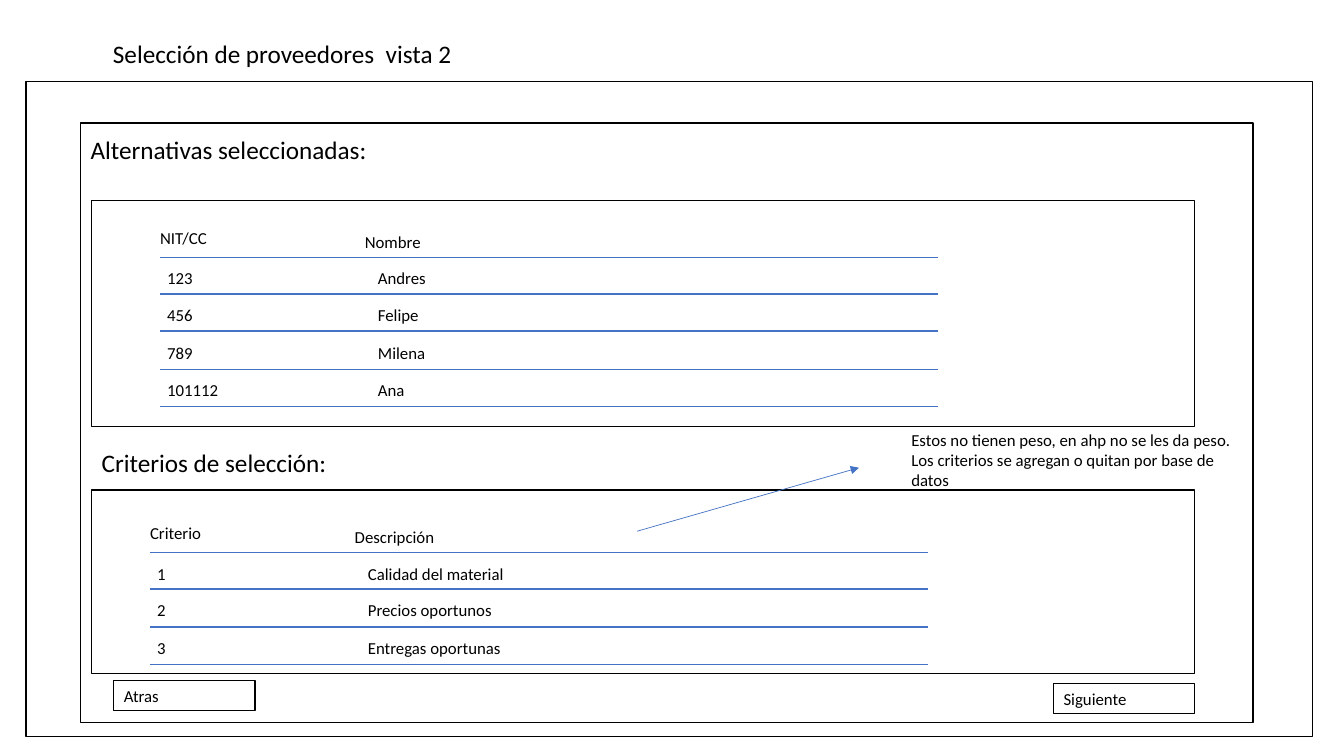
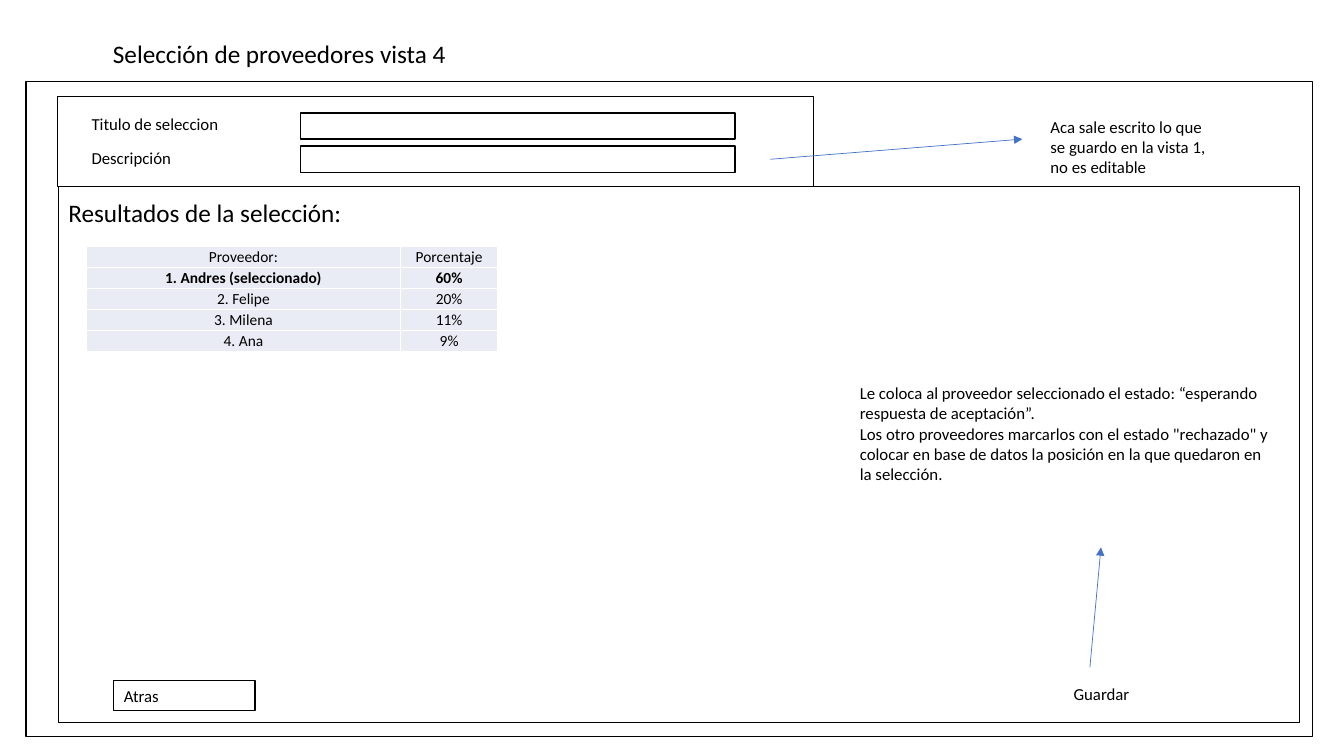
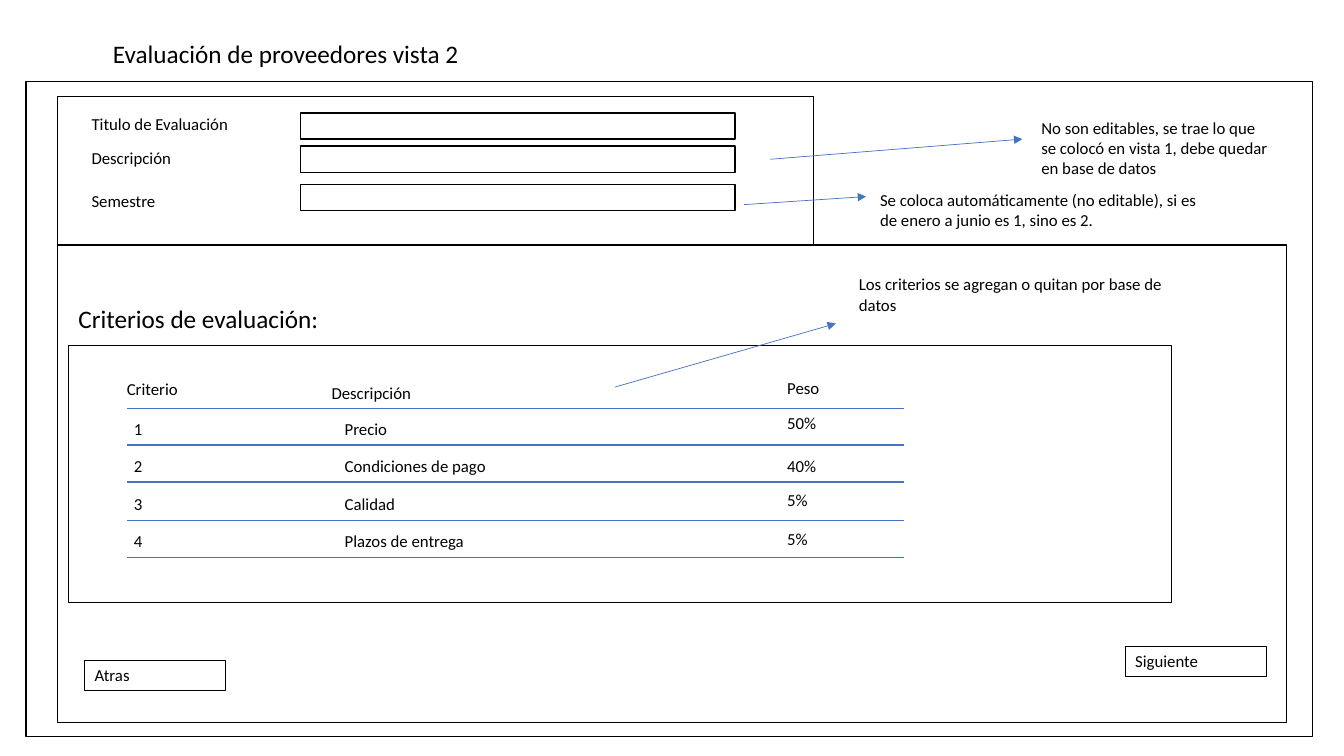
import pptx
import pptx.dml.color
import pptx.enum.shapes
import pptx.enum.text
import pptx.oxml
import pptx.oxml.ns
import pptx.util

Inches = pptx.util.Inches
Pt = pptx.util.Pt

COLORS = {"text": "000000", "frame": "000000", "rule": "4472C4",
          "cell": "E9EBF5", "border": "FFFFFF"}
FONT = "Calibri"
HEADING_SIZE, BODY_SIZE, CELL_SIZE = 18, 12, 11
LABEL_HEIGHT = 0.3
ROW_TOPS = (0.06, 0.42, 0.80, 1.17)
NAMESPACE = pptx.oxml.ns.nsdecls("a")


def color(name):
    return pptx.dml.color.RGBColor.from_string(COLORS[name])


class Wireframe:
    """Holds the presentation, the shared style and the current slide."""

    def __init__(self):
        self.presentation = pptx.Presentation()
        self.presentation.slide_width = Inches(13.33)
        self.presentation.slide_height = Inches(7.5)
        self.slide = None

    def add_slide(self, title):
        """Start a slide with its title and the outer window frame."""
        layout = self.presentation.slide_layouts[5]
        self.slide = self.presentation.slides.add_slide(layout)
        shape = self.slide.shapes.title
        shape.left, shape.top = Inches(1.02), Inches(0.33)
        shape.width, shape.height = Inches(5.1), Inches(0.4)
        self.fill_text(shape.text_frame, [title], HEADING_SIZE)
        self.frame(0.26, 0.81, 12.76, 6.5)

    def fill_text(self, text_frame, lines, size, bold=False, align="LEFT"):
        text_frame.word_wrap = True
        text_frame.auto_size = pptx.enum.text.MSO_AUTO_SIZE.NONE
        text_frame.vertical_anchor = pptx.enum.text.MSO_ANCHOR.TOP
        for index, line in enumerate(lines):
            paragraph = text_frame.add_paragraph() if index else text_frame.paragraphs[0]
            paragraph.alignment = getattr(pptx.enum.text.PP_ALIGN, align)
            run = paragraph.add_run()
            run.text = line
            run.font.name = FONT
            run.font.size = Pt(size)
            run.font.bold = bold
            run.font.color.rgb = color("text")

    def text(self, left, top, width, height, *lines, size=BODY_SIZE):
        box = self.slide.shapes.add_textbox(
            Inches(left), Inches(top), Inches(width), Inches(height))
        self.fill_text(box.text_frame, lines, size)

    def label(self, left, top, text, width=1.4):
        self.text(left, top, width, LABEL_HEIGHT, text)

    def heading(self, left, top, text):
        self.text(left, top, 4.12, 0.4, text, size=HEADING_SIZE)

    def frame(self, left, top, width, height, line_width=1):
        shape = self.slide.shapes.add_shape(
            pptx.enum.shapes.MSO_SHAPE.RECTANGLE,
            Inches(left), Inches(top), Inches(width), Inches(height))
        shape.shadow.inherit = False
        shape.fill.background()
        shape.line.color.rgb = color("frame")
        shape.line.width = Pt(line_width)
        return shape

    def button(self, left, top, text):
        shape = self.frame(left, top, 1.4, LABEL_HEIGHT, line_width=0.75)
        self.fill_text(shape.text_frame, [text], BODY_SIZE)

    def line(self, start, end, arrow=False):
        connector = self.slide.shapes.add_connector(
            pptx.enum.shapes.MSO_CONNECTOR.STRAIGHT,
            Inches(start[0]), Inches(start[1]), Inches(end[0]), Inches(end[1]))
        connector.line.color.rgb = color("rule")
        connector.line.width = Pt(0.5)
        properties = connector._element.spPr
        if arrow:
            outline = properties.find(pptx.oxml.ns.qn("a:ln"))
            outline.append(pptx.oxml.parse_xml(f'<a:tailEnd {NAMESPACE} type="triangle"/>'))
        properties.append(pptx.oxml.parse_xml(f"<a:effectLst {NAMESPACE}/>"))

    def form(self, height, fields):
        """Framed form; each field is (label, label top, input top)."""
        self.frame(0.57, 0.96, 7.5, height)
        for text, label_top, input_top in fields:
            self.label(0.81, label_top, text, width=1.86)
            self.frame(2.98, input_top, 4.31, 0.26)

    def ruled_list(self, left, top, headers, rows):
        """Two-column list; left and top are the start of its first rule."""
        self.label(left - 0.1, top - 0.34, headers[0])
        self.label(left + 1.93, top - 0.3, headers[1])
        for offset, (key, value) in zip(ROW_TOPS, rows):
            row_top = top + offset
            self.label(left - 0.03, row_top, key)
            self.label(left + 2.06, row_top, value, width=2.12)
            for rule_top in (row_top - 0.06, row_top + 0.31):
                self.line((left, rule_top), (left + 7.71, rule_top))

    def table(self, left, top, widths, row_height, rows, bold_row):
        table = self.slide.shapes.add_table(
            len(rows), len(widths), Inches(left), Inches(top),
            Inches(sum(widths)), Inches(row_height * len(rows))).table
        table.first_row = table.horz_banding = False
        for column, width in zip(table.columns, widths):
            column.width = Inches(width)
        for row_index, row in enumerate(rows):
            for column_index, text in enumerate(row):
                cell = table.cell(row_index, column_index)
                self.fill_text(cell.text_frame, [text], CELL_SIZE,
                               bold=row_index == bold_row, align="CENTER")
                self.style_cell(cell)

    def style_cell(self, cell):
        cell.margin_left = cell.margin_right = cell.margin_top = Inches(0.01)
        cell.margin_bottom = 0
        cell.vertical_anchor = pptx.enum.text.MSO_ANCHOR.MIDDLE
        cell.fill.solid()
        cell.fill.fore_color.rgb = color("cell")
        properties = cell._tc.get_or_add_tcPr()
        for index, side in enumerate(("lnL", "lnR", "lnT", "lnB")):
            properties.insert(index, pptx.oxml.parse_xml(
                f'<a:{side} {NAMESPACE} w="{Pt(1)}"><a:solidFill>'
                f'<a:srgbClr val="{COLORS["border"]}"/></a:solidFill></a:{side}>'))


def selection_lists(wireframe):
    wireframe.add_slide("Selección de proveedores  vista 2")
    wireframe.frame(0.8, 1.22, 11.63, 5.95)
    wireframe.heading(0.8, 1.28, "Alternativas seleccionadas:")
    wireframe.frame(0.91, 1.99, 10.94, 2.24)
    wireframe.ruled_list(1.59, 2.55, ("NIT/CC", "Nombre"), [
        ("123", "Andres"), ("456", "Felipe"), ("789", "Milena"), ("101112", "Ana")])
    wireframe.heading(0.91, 4.39, "Criterios de selección:")
    wireframe.frame(0.91, 4.86, 10.94, 1.82)
    wireframe.ruled_list(1.49, 5.48, ("Criterio", "Descripción"), [
        ("1", "Calidad del material"), ("2", "Precios oportunos"),
        ("3", "Entregas oportunas")])
    wireframe.line((6.32, 5.27), (8.52, 4.64), arrow=True)
    wireframe.text(8.94, 4.21, 3.44, 0.71,
                   "Estos no tienen peso, en ahp no se les da peso. "
                   "Los criterios se agregan o quitan por base de datos")
    wireframe.button(1.13, 6.75, "Atras")
    wireframe.button(10.45, 6.78, "Siguiente")


def selection_results(wireframe):
    wireframe.add_slide("Selección de proveedores vista 4")
    wireframe.form(0.89, [("Titulo de seleccion", 1.08, 1.12),
                          ("Descripción", 1.42, 1.45)])
    wireframe.line((7.64, 1.58), (10.14, 1.38), arrow=True)
    wireframe.text(10.32, 1.11, 1.86, 0.71,
                   "Aca sale escrito lo que se guardo en la vista 1, no es editable")
    wireframe.frame(0.58, 1.85, 12.31, 5.32)
    wireframe.heading(0.58, 1.91, "Resultados de la selección:")
    wireframe.table(0.86, 2.44, (3.11, 0.97), 0.21, [
        ("Proveedor:", "Porcentaje"), ("1. Andres (seleccionado)", "60%"),
        ("2. Felipe", "20%"), ("3. Milena", "11%"), ("4. Ana", "9%")], bold_row=1)
    wireframe.text(8.43, 3.75, 4.33, 1.11,
                   "Le coloca al proveedor seleccionado el estado: "
                   "“esperando respuesta de aceptación”.",
                   'Los otro proveedores marcarlos con el estado "rechazado" y colocar '
                   "en base de datos la posición en la que quedaron en la selección.")
    wireframe.line((10.81, 6.62), (10.92, 5.43), arrow=True)
    wireframe.button(1.13, 6.75, "Atras")
    wireframe.label(10.55, 6.73, "Guardar")


def evaluation_criteria(wireframe):
    wireframe.add_slide("Evaluación de proveedores vista 2")
    wireframe.form(1.47, [("Titulo de Evaluación", 1.08, 1.12),
                          ("Descripción", 1.42, 1.45), ("Semestre", 1.84, 1.83)])
    wireframe.line((7.64, 1.58), (10.14, 1.38), arrow=True)
    wireframe.text(10.23, 1.12, 2.5, 0.71,
                   "No son editables, se trae lo que se colocó en vista 1, "
                   "debe quedar en base de datos")
    wireframe.line((7.38, 2.03), (8.59, 1.95), arrow=True)
    wireframe.text(8.63, 1.83, 3.36, 0.5,
                   "Se coloca automáticamente (no editable), "
                   "si es de enero a junio es 1, sino es 2.")
    wireframe.frame(0.57, 2.43, 12.19, 4.74)
    wireframe.heading(0.68, 2.96, "Criterios de evaluación:")
    wireframe.frame(0.68, 3.43, 10.94, 2.55)
    wireframe.ruled_list(1.26, 4.05, ("Criterio", "Descripción"), [
        ("1", "Precio"), ("2", "Condiciones de pago"), ("3", "Calidad"),
        ("4", "Plazos de entrega")])
    weights = [(3.7, "Peso"), (4.05, "50%"), (4.47, "40%"), (4.81, "5%"), (5.2, "5%")]
    for top, text in weights:
        wireframe.label(7.71, top, text)
    wireframe.line((6.1, 3.84), (8.29, 3.21), arrow=True)
    wireframe.text(8.42, 2.67, 3.44, 0.5,
                   "Los criterios se agregan o quitan por base de datos")
    wireframe.button(0.84, 6.55, "Atras")
    wireframe.button(11.16, 6.41, "Siguiente")


def main():
    wireframe = Wireframe()
    selection_lists(wireframe)
    selection_results(wireframe)
    evaluation_criteria(wireframe)
    wireframe.presentation.save("out.pptx")


if __name__ == "__main__":
    main()
